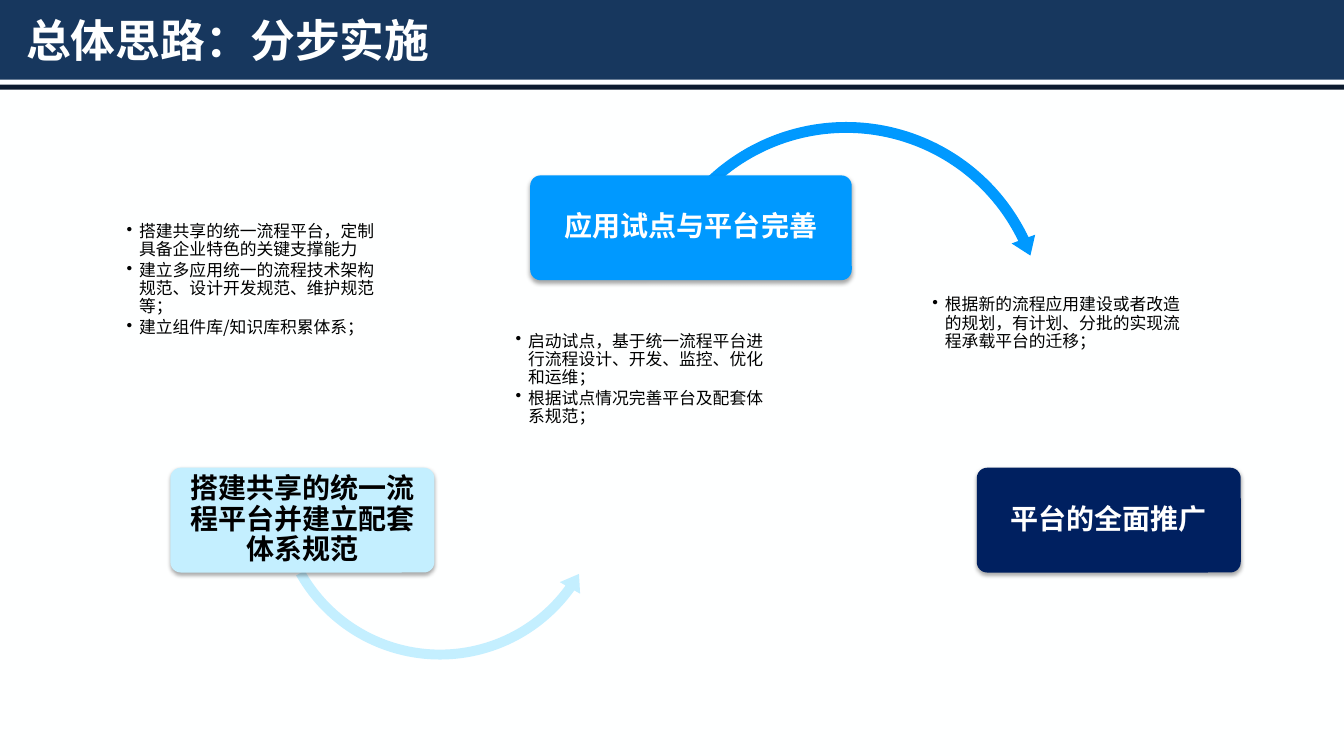
from dataclasses import dataclass
from typing import Optional

from lxml.etree import SubElement as Sub
from pptx import Presentation
from pptx.dml.color import RGBColor as Rgb
from pptx.enum.shapes import MSO_SHAPE as Kind
from pptx.enum.text import MSO_ANCHOR as Anchor, MSO_AUTO_SIZE as Fit, PP_ALIGN as Align
from pptx.oxml.ns import qn
from pptx.util import Pt

FONT = "Noto Sans CJK SC"
HUES = {
    "page": "FEFFFF", "bar": "17375E", "rule": "0C1B2F", "white": "FFFFFF",
    "black": "000000", "pale": "C4EFFF", "blue": "0099FF", "navy": "002060",
}
WIDE, HIGH = 960, 540
SIDE = 211.7
TALL = 74.9
PAD = 10
HANG = 9


@dataclass
class Arc:
    kind: Kind
    left: float
    top: float
    size: float
    adjust: tuple[float, ...]


@dataclass
class Step:
    label: str
    hue: str
    ink: str
    box: tuple[float, float, float]
    panel: tuple[float, float, float]
    notes: list[str]
    head: float = PAD
    arc: Optional[Arc] = None


STEPS = [
    Step("搭建共享的统一流程平台并建立配套体系规范", "pale", "black",
         (121.7, 334.1, 188.6), (74.2, 143.3, 240.5),
         ["搭建共享的统一流程平台，定制具备企业特色的关键支撑能力",
          "建立多应用统一的流程技术架构规范、设计开发规范、维护规范等；",
          "建立组件库/知识库积累体系；"],
         arc=Arc(Kind.LEFT_CIRCULAR_ARROW, 191.5, 230.4, 245.5,
                 (0.029, 3.575, 21.437, 90.351, 0.034))),
    Step("应用试点与平台完善", "blue", "white",
         (378.7, 125.3, 229.7), (352.1, 177.1, 213.8),
         ["启动试点，基于统一流程平台进行流程设计、开发、监控、优化和运维；",
          "根据试点情况完善平台及配套体系规范；"],
         head=54.3,
         arc=Arc(Kind.CIRCULAR_ARROW, 455, 82.1, 298.8,
                 (0.026, 3.133, 200.633, 131.276, 0.03))),
    Step("平台的全面推广", "navy", "white",
         (697.7, 334.1, 188.6), (650.9, 196.6, 175),
         ["根据新的流程应用建设或者改造的规划，有计划、分批的实现流程承载平台的迁移；"]),
]


def tint(hue: str) -> Rgb:
    """Return the named colour."""
    return Rgb.from_string(HUES[hue])


def draw(slide, kind: Kind, left: float, top: float, width: float, height: float, hue: str):
    """Add a flat filled shape without outline."""
    shape = slide.shapes.add_shape(kind, Pt(left), Pt(top), Pt(width), Pt(height))
    shape.shadow.inherit = False
    shape.fill.solid()
    shape.fill.fore_color.rgb = tint(hue)
    shape.line.fill.background()
    return shape


def write(para, text: str, size: float, hue: str, bold: bool = False) -> None:
    """Add one formatted run to a paragraph."""
    run = para.add_run()
    run.text = text
    font = run.font
    font.size, font.bold, font.name = Pt(size), bold, FONT
    font.color.rgb = tint(hue)
    Sub(run.font._element, qn("a:ea"), typeface=FONT)


def inset(frame, side: float, top: float, foot: float) -> None:
    """Set the inner margins of a text frame."""
    frame.word_wrap = True
    frame.margin_left = frame.margin_right = Pt(side)
    frame.margin_top, frame.margin_bottom = Pt(top), Pt(foot)


def cast(shape) -> None:
    """Give a shape a soft shadow below it."""
    group = shape._element.spPr.find(qn("a:effectLst"))
    shade = Sub(group, qn("a:outerShdw"), blurRad=str(Pt(3.1)), dist=str(Pt(1.8)),
                dir="5400000", rotWithShape="0")
    color = Sub(shade, qn("a:srgbClr"), val=HUES["black"])
    Sub(color, qn("a:alpha"), val="35000")


def add_panel(slide, step: Step) -> None:
    """Draw the translucent panel with the bullets of a step."""
    left, top, height = step.panel
    panel = draw(slide, Kind.ROUNDED_RECTANGLE, left, top, SIDE, height, "white")
    panel.adjustments[0] = 0.1
    color = panel._element.spPr.find(qn("a:solidFill")).find(qn("a:srgbClr"))
    Sub(color, qn("a:alpha"), val="90000")
    frame = panel.text_frame
    inset(frame, PAD, step.head, PAD)
    frame.vertical_anchor = Anchor.TOP
    for rank, note in enumerate(step.notes):
        para = frame.add_paragraph() if rank else frame.paragraphs[0]
        para.alignment, para.level = Align.LEFT, 1
        para.line_spacing, para.space_after = 0.9, Pt(1.8)
        props = para._p.get_or_add_pPr()
        props.set("marL", str(Pt(HANG)))
        props.set("indent", str(-Pt(HANG)))
        Sub(props, qn("a:buChar"), char="•")
        write(para, note, 12, "black")


def add_arc(slide, arc: Arc, hue: str) -> None:
    """Draw the curved arrow to the next step."""
    shape = draw(slide, arc.kind, arc.left, arc.top, arc.size, arc.size, hue)
    for rank, value in enumerate(arc.adjust):
        shape.adjustments[rank] = value


def add_label(slide, step: Step) -> None:
    """Draw the heading box of a step."""
    left, top, width = step.box
    box = draw(slide, Kind.ROUNDED_RECTANGLE, left, top, width, TALL, step.hue)
    box.adjustments[0] = 0.1
    cast(box)
    frame = box.text_frame
    inset(frame, 3, 2, 2)
    frame.vertical_anchor = Anchor.MIDDLE
    para = frame.paragraphs[0]
    para.alignment, para.line_spacing = Align.CENTER, 0.9
    write(para, step.label, 20, step.ink, True)


def add_title(slide, text: str) -> None:
    """Draw the header bars and place the title over them."""
    draw(slide, Kind.RECTANGLE, 0, 0, WIDE, 56.9, "bar")
    draw(slide, Kind.RECTANGLE, 0, 60.5, WIDE, 3.6, "rule")
    title = slide.shapes.title
    title.left, title.top, title.width, title.height = Pt(11.5), Pt(6.5), Pt(937.4), Pt(43.2)
    title._element.getparent().append(title._element)
    frame = title.text_frame
    frame.auto_size, frame.vertical_anchor = Fit.NONE, Anchor.MIDDLE
    para = frame.paragraphs[0]
    para.alignment = Align.LEFT
    write(para, text, 32, "page", True)


def main() -> None:
    """Build and save the slide."""
    deck = Presentation()
    deck.slide_width, deck.slide_height = Pt(WIDE), Pt(HIGH)
    slide = deck.slides.add_slide(deck.slide_layouts[5])
    slide.background.fill.solid()
    slide.background.fill.fore_color.rgb = tint("page")
    add_title(slide, "总体思路：分步实施")
    for step in STEPS:
        add_panel(slide, step)
        if step.arc:
            add_arc(slide, step.arc, step.hue)
        add_label(slide, step)
    deck.save("out.pptx")


if __name__ == "__main__":
    main()
